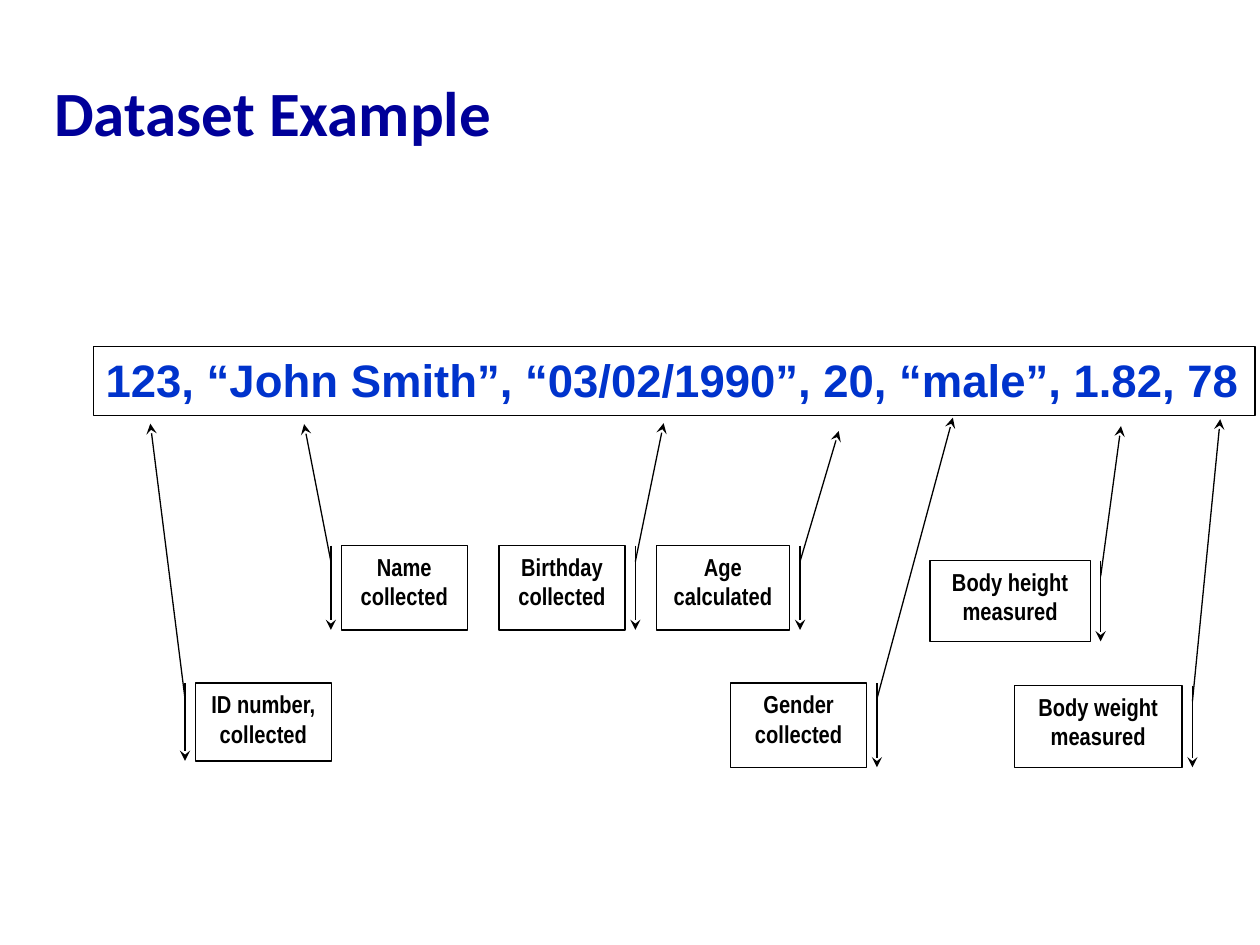
"""Build the slide that explains each field of one dataset record."""
import pptx
import pptx.dml.color
import pptx.enum.shapes
import pptx.enum.text
import pptx.util
from lxml import etree
from pptx.oxml.ns import qn

Cm = pptx.util.Cm
Pt = pptx.util.Pt
SHAPES = pptx.enum.shapes.MSO_SHAPE
ALIGN = pptx.enum.text.PP_ALIGN
ANCHOR = pptx.enum.text.MSO_ANCHOR
NAVY = pptx.dml.color.RGBColor(0x00, 0x00, 0x99)
BLUE = pptx.dml.color.RGBColor(0x00, 0x33, 0xCC)
BLACK = pptx.dml.color.RGBColor(0x00, 0x00, 0x00)

TITLE_FONT = {"name": "Calibri", "size": Pt(36), "bold": True}
RECORD_FONT = {"name": "Arial", "size": Pt(26), "bold": True}
LABEL_FONT = {"name": "Arial Narrow", "size": Pt(14), "bold": True}
BAR_GAP = 0.21
LEADER_DROP = 0.32


def write(frame, text, font, color, alignment):
    frame.text = text
    for paragraph in frame.paragraphs:
        paragraph.alignment = alignment
        for name, value in font.items():
            setattr(paragraph.font, name, value)
        paragraph.font.color.rgb = color


def outlined(slide, shape_type, left, top, width, height):
    box = slide.shapes.add_shape(shape_type, Cm(left), Cm(top), Cm(width), Cm(height))
    box.shadow.inherit = False
    box.fill.background()
    box.line.color.rgb = BLACK
    box.line.width = Pt(0.75)
    box.text_frame.vertical_anchor = ANCHOR.TOP
    return box


deck = pptx.Presentation()
deck.slide_width, deck.slide_height = Cm(25.4), Cm(19.05)
slide = deck.slides.add_slide(deck.slide_layouts[5])

heading = slide.shapes.title
heading_place = {"left": Cm(0.84), "top": Cm(0.84), "width": Cm(21.26), "height": Cm(2.82)}
for name, value in heading_place.items():
    setattr(heading, name, value)
heading.text_frame.vertical_anchor = ANCHOR.MIDDLE
write(heading.text_frame, "Dataset Example", TITLE_FONT, NAVY, ALIGN.LEFT)

record = outlined(slide, SHAPES.RECTANGLE, 1.88, 6.98, 23.42, 1.4)
record.text_frame.word_wrap = False
record.text_frame.auto_size = pptx.enum.text.MSO_AUTO_SIZE.SHAPE_TO_FIT_TEXT
write(record.text_frame, "123, “John Smith”, “03/02/1990”, 20, “male”, 1.82, 78",
      RECORD_FONT, BLUE, ALIGN.LEFT)

fields = [
    ("ID number, collected", 3.94, 13.77, 2.74, 1.57, 3.03, 8.54),
    ("Name\ncollected", 6.88, 11, 2.54, 1.7, 6.13, 8.55),
    ("Birthday collected", 10.06, 11, 2.54, 1.7, 13.38, 8.53),
    ("Age\ncalculated", 13.23, 11, 2.69, 1.7, 16.91, 8.69),
    ("Gender collected", 14.73, 13.77, 2.74, 1.7, 19.21, 8.42),
    ("Body height\nmeasured", 18.75, 11.3, 3.23, 1.63, 22.6, 8.59),
    ("Body weight\nmeasured", 20.45, 13.82, 3.38, 1.65, 24.6, 8.45),
]
for label, left, top, width, height, tip_x, tip_y in fields:
    callout = outlined(slide, SHAPES.LINE_CALLOUT_1_BORDER_AND_ACCENT_BAR,
                       left, top, width, height)
    bar_x = -BAR_GAP if tip_x < left else width + BAR_GAP
    leader = (LEADER_DROP / height, bar_x / width,
              (tip_y - top) / height, (tip_x - left) / width)
    for index, value in enumerate(leader):
        callout.adjustments[index] = value
    outline = callout.line.fill.fore_color and callout.element.spPr.find(qn("a:ln"))
    etree.SubElement(outline, qn("a:tailEnd"), type="stealth")
    callout.text_frame.word_wrap = True
    write(callout.text_frame, label, LABEL_FONT, BLACK, ALIGN.CENTER)

deck.save("out.pptx")
